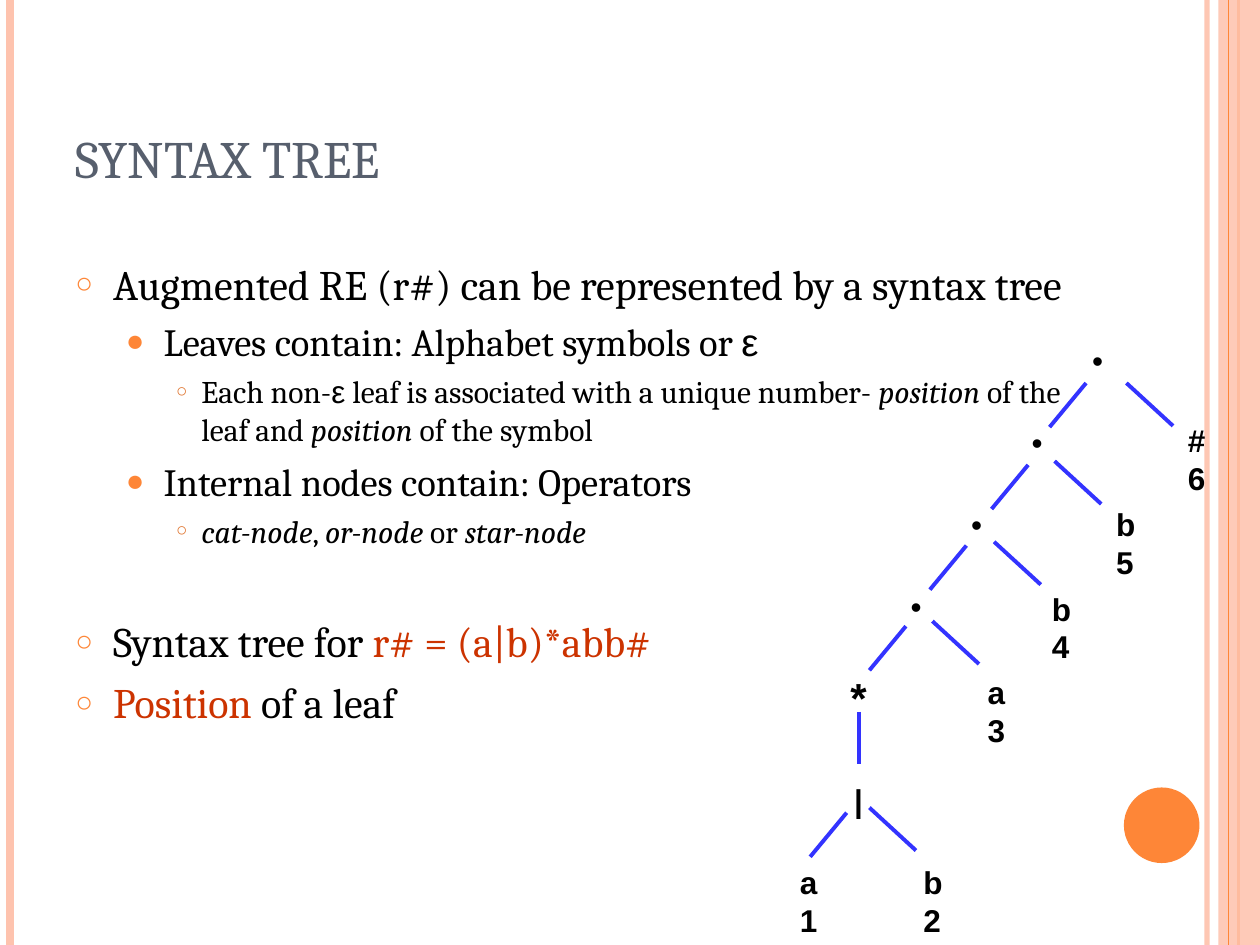
import pptx
import pptx.dml.color
import pptx.enum.shapes
import pptx.enum.text
import pptx.util
from lxml import etree
from pptx.oxml.ns import qn
from pptx.util import Inches

COLORS = {
    "peach": "FEC3AE", "orange": "FE8637", "dark orange": "E0752F",
    "slate": "575F6D", "black": "000000", "red": "CC3300", "blue": "3333FF",
}
# Per outline level: indent, hanging, space before, bullet, colour, bullet size %, text size
LEVELS = [
    (0.3, 0.3, 6, "○", "orange", 70, 24),
    (0.7, 0.3, 5.5, "●", "orange", 80, 22),
    (1.0, 0.2, 4.5, "○", "dark orange", 60, 18),
]


class SlideStyle:
    def __init__(self, slide):
        self.slide = slide

    def color(self, name):
        return pptx.dml.color.RGBColor.from_string(COLORS[name])

    def set_alpha(self, fill, percent):
        """Make a solid fill partly transparent."""
        for tint in fill.iter(qn("a:srgbClr")):
            etree.SubElement(tint, qn("a:alpha"), val=str(percent * 1000))

    def line(self, x1, y1, x2, y2, color, width, alpha=None):
        connector = self.slide.shapes.add_connector(
            pptx.enum.shapes.MSO_CONNECTOR.STRAIGHT,
            Inches(x1), Inches(y1), Inches(x2), Inches(y2))
        connector.line.color.rgb = self.color(color)
        connector.line.width = pptx.util.Pt(width)
        properties = connector._element.spPr
        if alpha:
            self.set_alpha(properties, alpha)
        etree.SubElement(properties, qn("a:effectLst"))

    def shape(self, kind, left, top, width, height, color, alpha=None):
        shape = self.slide.shapes.add_shape(
            kind, Inches(left), Inches(top), Inches(width), Inches(height))
        shape.shadow.inherit = False
        shape.fill.solid()
        shape.fill.fore_color.rgb = self.color(color)
        shape.line.fill.background()
        if alpha:
            self.set_alpha(shape._element.spPr, alpha)

    def text_box(self, left, top, width, height, wrap=True):
        box = self.slide.shapes.add_textbox(
            Inches(left), Inches(top), Inches(width), Inches(height))
        box.text_frame.word_wrap = wrap
        return box.text_frame

    def font(self, font, size, name, color, bold=False):
        font.size = pptx.util.Pt(size)
        font.name = name
        font.bold = bold
        font.color.rgb = self.color(color)

    def title(self, text, left, top, width, height):
        frame = self.text_box(left, top, width, height)
        frame.vertical_anchor = pptx.enum.text.MSO_ANCHOR.BOTTOM
        frame.text = text
        self.font(frame.paragraphs[0].font, 30, "Cambria", "slate")

    def node(self, lines, left, top, width, height, size=18, bold=True):
        """Label of a tree node, one paragraph per line."""
        frame = self.text_box(left, top, width, height, wrap=False)
        frame.auto_size = pptx.enum.text.MSO_AUTO_SIZE.SHAPE_TO_FIT_TEXT
        frame.text = "\n".join(lines)
        for paragraph in frame.paragraphs:
            self.font(paragraph.font, size, "Arial", "black", bold)

    def bullet(self, paragraph, level, spans, space=None):
        """Bulleted paragraph; each span is (text, style)."""
        indent, hanging, before, char, color, percent, size = LEVELS[level]
        paragraph.level = level
        paragraph.space_before = pptx.util.Pt(before if space is None else space)
        properties = paragraph._p.get_or_add_pPr()
        properties.set("marL", str(Inches(indent)))
        properties.set("indent", str(-Inches(hanging)))
        tint = etree.SubElement(properties, qn("a:buClr"))
        etree.SubElement(tint, qn("a:srgbClr"), val=COLORS[color])
        etree.SubElement(properties, qn("a:buSzPct"), val=str(percent * 1000))
        etree.SubElement(properties, qn("a:buFont"), typeface="Arial")
        etree.SubElement(properties, qn("a:buChar"), char=char)
        self.font(paragraph.font, size, "Cambria", "black")
        for text, style in spans:
            span = paragraph.add_run()
            span.text = text
            if style == "italic":
                span.font.italic = True
            elif style == "symbol":
                span.font.name = "Arial"
            elif style == "red":
                span.font.color.rgb = self.color("red")

    def outline(self, items, left, top, width, height):
        frame = self.text_box(left, top, width, height)
        for index, (level, space, spans) in enumerate(items):
            paragraph = frame.add_paragraph() if index else frame.paragraphs[0]
            self.bullet(paragraph, level, spans, space)


OUTLINE = [
    (0, 0, [("Augmented RE (r#) can be represented by a syntax tree", "")]),
    (1, None, [("Leaves contain: Alphabet symbols or ", ""), ("ε", "symbol")]),
    (2, None, [("Each non-", ""), ("ε", "symbol"),
               (" leaf is associated with a unique number- ", ""),
               ("position", "italic"), (" of the leaf and ", ""),
               ("position", "italic"), (" of the symbol", "")]),
    (1, None, [("Internal nodes contain: Operators", "")]),
    (2, None, [("cat-node", "italic"), (", ", ""), ("or-node", "italic"),
               (" or ", ""), ("star-node", "italic")]),
    (0, 38, [("Syntax tree for ", ""), ("r# = (a|b)*abb#", "red")]),
    (0, None, [("Position ", "red"), ("of a leaf", "")]),
]
# Leaves: symbol, position, left, top
LEAVES = [
    ("#", "6", 9.33, 3.29), ("b", "5", 8.76, 3.96), ("b", "4", 8.25, 4.63),
    ("a", "3", 7.74, 5.29), ("b", "2", 7.23, 6.8), ("a", "1", 6.25, 6.8),
]
# Upper ends of the branches
LEFT_BRANCHES = [(8.62, 3.04), (8.16, 3.69), (7.67, 4.33), (7.19, 4.97), (6.72, 6.45)]
RIGHT_BRANCHES = [(8.94, 3.04), (8.37, 3.66), (7.89, 4.3), (7.4, 4.93), (6.9, 6.41)]


def main():
    deck = pptx.Presentation()
    deck.slide_width, deck.slide_height = Inches(10), Inches(7.5)
    page = SlideStyle(deck.slides.add_slide(deck.slide_layouts[6]))
    shapes = pptx.enum.shapes.MSO_SHAPE

    # Side stripes and disc
    page.line(9.58, 0, 9.58, 7.5, "peach", 3, alpha=93)
    page.line(0.08, 0, 0.08, 7.5, "peach", 4.5)
    page.line(9.83, 0, 9.83, 7.5, "orange", 1.5)
    page.shape(shapes.RECTANGLE, 9.67, 0, 0.33, 7.5, "peach", alpha=87)
    page.line(9.75, 0, 9.75, 7.5, "orange", 0.75)
    page.shape(shapes.OVAL, 8.92, 6.25, 0.6, 0.6, "orange")

    # Title and outline
    page.title("SYNTAX TREE", 0.5, 0.3, 8.17, 1.25)
    page.outline(OUTLINE, 0.5, 2.0, 8.17, 5.08)

    # Tree: cat-nodes, star-node, or-node and leaves
    for step in range(4):
        page.node(["•"], 8.57 - 0.48 * step, 2.66 + 0.65 * step, 0.3, 0.4, bold=False)
    page.node(["*"], 6.65, 5.28, 0.33, 0.5, size=24)
    page.node(["|"], 6.68, 6.15, 0.27, 0.4)
    for symbol, position, left, top in LEAVES:
        page.node([symbol, position], left, top, 0.35, 0.7)

    # Tree: branches
    for x, y in LEFT_BRANCHES:
        page.line(x, y, x - 0.29, y + 0.35, "blue", 2.25)
    for x, y in RIGHT_BRANCHES:
        page.line(x, y, x + 0.37, y + 0.34, "blue", 2.25)
    page.line(6.82, 5.65, 6.82, 6.06, "blue", 2.25)

    deck.save("out.pptx")


if __name__ == "__main__":
    main()
